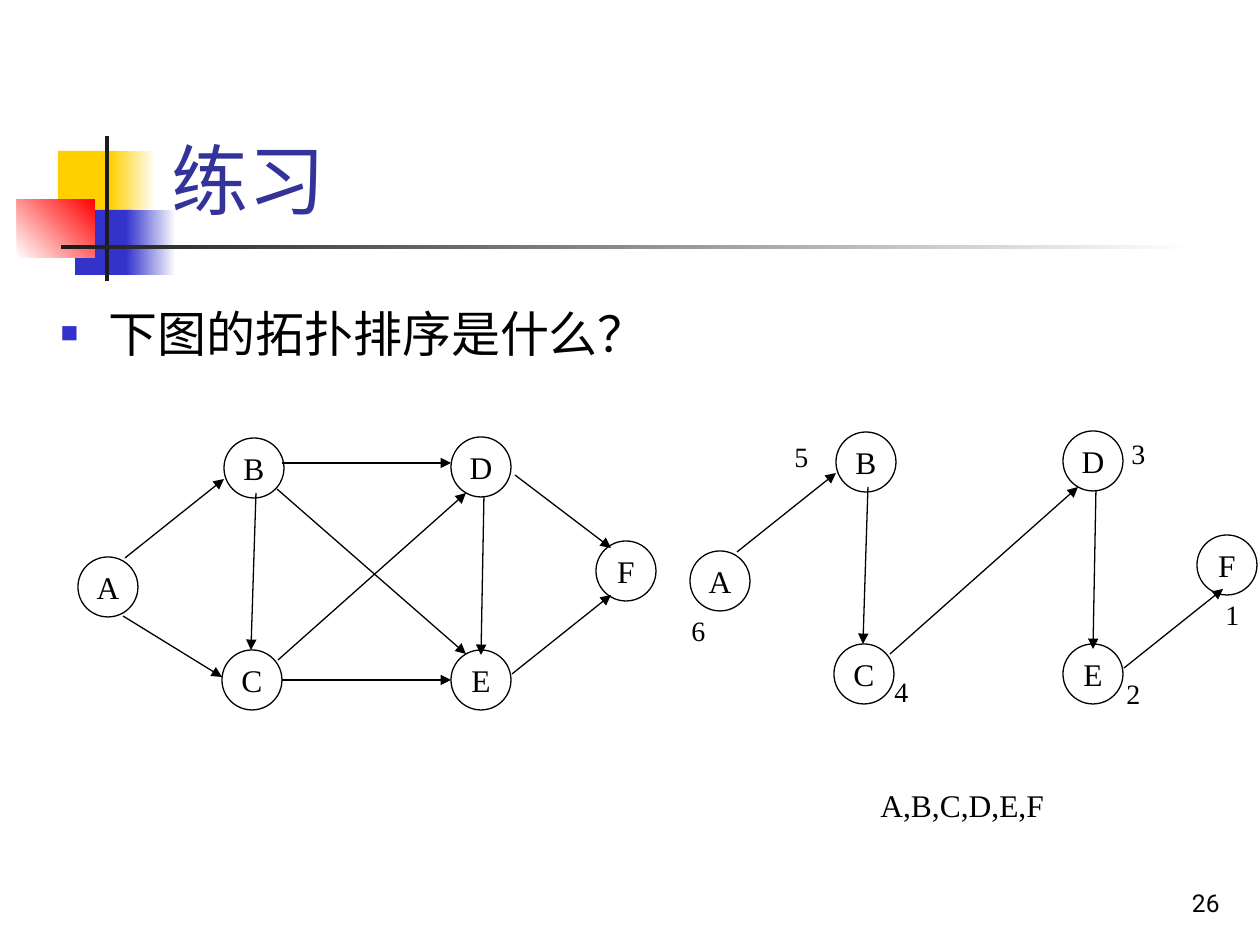
"""Build the topological sorting exercise slide."""
from lxml import etree
from pptx import Presentation
from pptx.dml import color
from pptx.enum import shapes, text
from pptx.oxml import ns
from pptx.util import Pt

SCALE = 914400 / 126
THEME = {
    "gold": "FFCF01", "blue": "3333CC", "red": "FF0000", "dark": "1C1C1C",
    "white": "FFFFFF", "ink": "000000", "heading": "333399",
    "sans": "Roboto", "serif": "Times New Roman",
    "title_size": 44, "body_size": 28, "node_size": 18, "rank_size": 16, "page_size": 14,
    "line_width": 0.75,
}
FIT, FIXED = text.MSO_AUTO_SIZE.SHAPE_TO_FIT_TEXT, text.MSO_AUTO_SIZE.NONE
TOP, MIDDLE, BOTTOM = text.MSO_ANCHOR.TOP, text.MSO_ANCHOR.MIDDLE, text.MSO_ANCHOR.BOTTOM
LEFT, CENTER, RIGHT = text.PP_ALIGN.LEFT, text.PP_ALIGN.CENTER, text.PP_ALIGN.RIGHT


def emu(*pixels):
    return [round(pixel * SCALE) for pixel in pixels]


def write(shape, words, size, face="serif", ink="ink", align=LEFT, **frame_format):
    frame = shape.text_frame
    for name, value in frame_format.items():
        setattr(frame, name, value)
    paragraph = frame.paragraphs[0]
    paragraph.alignment = align
    run = paragraph.add_run()
    run.text = words
    for name, value in {"name": THEME[face], "size": Pt(THEME[size])}.items():
        setattr(run.font, name, value)
    run.font.color.rgb = color.RGBColor.from_string(THEME[ink])
    return paragraph


deck = Presentation()
deck.slide_width, deck.slide_height = emu(1260, 945)
slide = deck.slides.add_slide(deck.slide_layouts[1])
canvas = slide.shapes
title, question = slide.placeholders

ornaments = [
    ((58, 151, 60, 66), ["gold"], 0),
    ((110, 151, 46, 66), ["gold", "white"], 0),
    ((75, 210, 58, 65), ["blue"], 0),
    ((126, 210, 50, 65), ["blue", "white"], 0),
    ((17, 199, 78, 59), ["white", "red"], 45),
    ((105, 136, 4, 145), ["dark"], 0),
    ((61, 245, 1134, 4), ["dark", "white"], 0),
]
for place, tints, angle in ornaments:
    ornament = canvas.add_shape(shapes.MSO_SHAPE.RECTANGLE, *emu(*place))
    ornament.shadow.inherit = False
    ornament.line.fill.background()
    if len(tints) == 1:
        ornament.fill.solid()
        ornament.fill.fore_color.rgb = color.RGBColor.from_string(THEME[tints[0]])
    else:
        ornament.fill.gradient()
        ornament.fill.gradient_angle = angle
        for stop, tint, position in zip(ornament.fill.gradient_stops, tints, (0, 1)):
            stop.color.rgb = color.RGBColor.from_string(THEME[tint])
            stop.position = position

for holder, place in ((title, (159, 29, 1074, 202)), (question, (48, 297, 1186, 112))):
    holder.left, holder.top, holder.width, holder.height = emu(*place)
    canvas._spTree.append(holder._element)
write(title, "练习", "title_size", "sans", "heading", vertical_anchor=BOTTOM, auto_size=FIXED)

properties = question.text_frame.paragraphs[0]._p.get_or_add_pPr()
indent = emu(48)[0]
properties.set("marL", str(indent))
properties.set("indent", str(-indent))
bullet_color = etree.SubElement(properties, ns.qn("a:buClr"))
etree.SubElement(bullet_color, ns.qn("a:srgbClr"), val=THEME["blue"])
etree.SubElement(properties, ns.qn("a:buSzPct"), val="60000")
etree.SubElement(properties, ns.qn("a:buFont"), typeface=THEME["serif"])
etree.SubElement(properties, ns.qn("a:buChar"), char="■")
sentence = write(question, "下图的拓扑排序是什么？", "body_size", vertical_anchor=TOP, auto_size=FIXED)
sentence.space_before = Pt(0)

nodes = {"A": (78, 557), "B": (224, 438), "C": (222, 650),
         "D": (451, 437), "E": (451, 650), "F": (596, 541)}
edges = {
    "AB": (125, 558, 224, 479), "AC": (123, 616, 222, 677), "BC": (256, 493, 251, 650),
    "BD": (282, 463, 451, 463), "BE": (277, 489, 466, 654), "CD": (278, 660, 466, 493),
    "CE": (282, 680, 451, 680), "DE": (484, 496, 481, 655), "DF": (515, 475, 611, 548),
    "EF": (512, 674, 611, 595),
}
chain = ["AB", "BC", "CD", "DE", "EF"]
graphs = [(0, 0, nodes, edges),
          (612, -6, nodes | {"F": (585, 541)}, {name: edges[name] for name in chain})]
for shift_x, shift_y, vertices, arrows in graphs:
    for letter, (x, y) in vertices.items():
        vertex = canvas.add_shape(shapes.MSO_SHAPE.OVAL, *emu(x + shift_x, y + shift_y, 60, 60))
        vertex.shadow.inherit = False
        vertex.fill.background()
        vertex.line.color.rgb = color.RGBColor.from_string(THEME["ink"])
        vertex.line.width = Pt(THEME["line_width"])
        write(vertex, letter, "node_size", align=CENTER, vertical_anchor=MIDDLE, word_wrap=False)
    for x1, y1, x2, y2 in arrows.values():
        ends = emu(x1 + shift_x, y1 + shift_y, x2 + shift_x, y2 + shift_y)
        arrow = canvas.add_connector(shapes.MSO_CONNECTOR.STRAIGHT, *ends)
        arrow.line.color.rgb = color.RGBColor.from_string(THEME["ink"])
        arrow.line.width = Pt(THEME["line_width"])
        etree.SubElement(arrow.line._get_or_add_ln(), ns.qn("a:tailEnd"), type="triangle")
        etree.SubElement(arrow._element.spPr, ns.qn("a:effectLst"))

ranks = {"6": (679, 607), "5": (782, 433), "4": (882, 668),
         "3": (1119, 430), "2": (1114, 670), "1": (1213, 591)}
for rank, corner in ranks.items():
    label = canvas.add_textbox(*emu(*corner, 39, 47))
    write(label, rank, "rank_size", word_wrap=False, auto_size=FIT)

order = canvas.add_textbox(*emu(868, 780, 238, 50))
write(order, "A,B,C,D,E,F", "node_size", word_wrap=True, auto_size=FIT)
page = canvas.add_textbox(*emu(970, 861, 262, 63))
write(page, "26", "page_size", "sans", align=RIGHT, vertical_anchor=BOTTOM, word_wrap=True)

deck.save("out.pptx")
